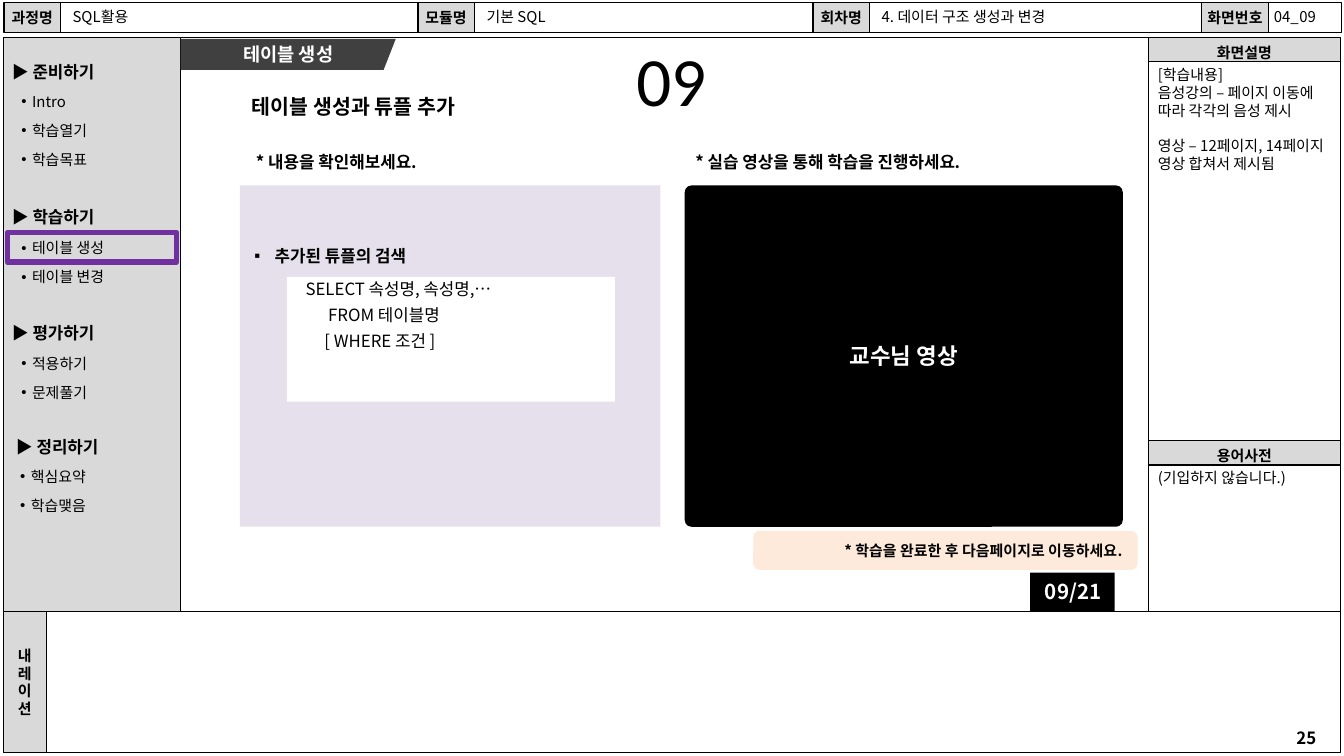
from dataclasses import dataclass
from itertools import pairwise

from lxml.etree import SubElement
from pptx import Presentation
from pptx.dml.color import RGBColor
from pptx.enum.shapes import MSO_SHAPE
from pptx.enum.text import MSO_ANCHOR, PP_ALIGN
from pptx.oxml.ns import qn
from pptx.util import Inches, Pt

CELL = 0.1  # inches per grid column and row


@dataclass(frozen=True)
class Theme:
    font: str = "Noto Sans CJK KR"
    number_font: str = "Calibri"
    bullet_font: str = "Arial"
    black: str = "000000"
    white: str = "FFFFFF"
    label: str = "D9D9D9"
    tab: str = "404040"
    marker: str = "7030A0"
    lilac: str = "E6E0EC"
    peach: str = "FDEADA"
    small: int = 8
    body: int = 9
    tab_size: int = 10
    heading: int = 11
    video: int = 12
    number: int = 37
    leading: float = 1.19


THEME = Theme()


@dataclass(frozen=True)
class Box:
    """Area on the page, in grid columns and rows."""
    col: float
    row: float
    cols: float
    rows: float

    def inside(self, col, row, cols, rows):
        return Box(self.col + col, self.row + row, cols, rows)

    def emu(self):
        return [Inches(n * CELL) for n in (self.col, self.row, self.cols, self.rows)]


def style(shape, fill=None, line=None, width=0.75):
    shape.shadow.inherit = False
    if fill:
        shape.fill.solid()
        shape.fill.fore_color.rgb = RGBColor.from_string(fill)
    else:
        shape.fill.background()
    if line:
        shape.line.color.rgb = RGBColor.from_string(line)
        shape.line.width = Pt(width)
    else:
        shape.line.fill.background()
    return shape


def block(page, box, fill=None, line=None, width=0.75, kind=MSO_SHAPE.RECTANGLE):
    return style(page.shapes.add_shape(kind, *box.emu()), fill, line, width)


def framed(page, box, fill=THEME.white):
    return block(page, box, fill, THEME.black)


def write(shape, lines, size=THEME.small, bold=False, color=THEME.black,
          align=PP_ALIGN.LEFT, anchor=MSO_ANCHOR.TOP, inset=(0.1, 0.05), wrap=True,
          bullet=None, indent=0.08, gaps=None, after=0, leading=THEME.leading,
          font=THEME.font):
    """Fill a shape with paragraphs; gaps maps a paragraph index to space before."""
    frame = shape.text_frame
    frame.word_wrap = wrap
    frame.vertical_anchor = anchor
    frame.margin_left = frame.margin_right = Inches(inset[0])
    frame.margin_top = frame.margin_bottom = Inches(inset[1])
    for index, line in enumerate(lines):
        para = frame.add_paragraph() if index else frame.paragraphs[0]
        if bullet:
            props = para._p.get_or_add_pPr()
            props.set("marL", str(Inches(indent)))
            props.set("indent", str(-Inches(indent)))
            SubElement(props, qn("a:buFont")).set("typeface", THEME.bullet_font)
            SubElement(props, qn("a:buChar")).set("char", bullet)
        para.alignment = align
        para.line_spacing = Pt(round(size * leading, 1))
        para.space_before = Pt((gaps or {}).get(index, 0))
        para.space_after = Pt(after)
        span = para.add_run()
        span.text = line
        span.font.size = Pt(size)
        span.font.bold = bold
        span.font.color.rgb = RGBColor.from_string(color)
        span.font.name = font
        SubElement(span._r.get_or_add_rPr(), qn("a:ea")).set("typeface", font)


def text(page, box, lines, **options):
    write(page.shapes.add_textbox(*box.emu()), lines, **options)


def label(page, box, lines, **options):
    write(framed(page, box, THEME.label), lines, bold=True, align=PP_ALIGN.CENTER,
          anchor=MSO_ANCHOR.MIDDLE, wrap=False, **options)


def header(page, box):
    fields = [("과정명", "SQL활용"), ("모듈명", "기본 SQL"),
              ("회차명", "4. 데이터 구조 생성과 변경"), ("화면번호", None)]
    edges = [0, 4.2, 30.8, 35, 60.2, 64.4, 89.1, 94.1, box.cols]
    cells = [box.inside(left, 0, right - left, box.rows) for left, right in pairwise(edges)]
    for (name, value), name_cell, value_cell in zip(fields, cells[::2], cells[1::2]):
        label(page, name_cell, [name])
        framed(page, value_cell)
        if value:
            text(page, value_cell.inside(0, 0, value_cell.cols, 2), [value],
                 inset=(0.09, 0.04), wrap=False)
    for col, cols, part in [(93.5, 4, "04_"), (95.4, 3.4, "09")]:
        text(page, box.inside(col, -0.1, cols, 2.4), [part], wrap=False)


def sidebar(page, box):
    framed(page, box, THEME.label)
    sections = [
        (1.3, 4.1, "준비하기", ["Intro", "학습열기", "학습목표"]),
        (12.1, 15, "학습하기", ["테이블 생성", "테이블 변경"]),
        (20.7, 23.6, "평가하기", ["적용하기", "문제풀기"]),
        (29.2, 32, "정리하기", ["핵심요약", "학습맺음"]),
    ]
    for heading_row, list_row, heading, items in sections:
        shift = 0.3 if heading == "정리하기" else 0
        text(page, box.inside(shift - 0.35, heading_row, 11.5, 2.5), [f"▶ {heading}"],
             size=THEME.body, bold=True)
        text(page, box.inside(0.35, list_row, 12.9, 1.9 * len(items)), items,
             inset=(0.09 if shift else 0.1, 0), bullet="•", gaps={1: 6, 2: 6})
    block(page, box.inside(0.3, 14.5, 12.6, 2.2), line=THEME.marker, width=3)


def description(page, box):
    framed(page, box)
    panels = [
        (0, "화면설명", 28.4, ["[학습내용]", "음성강의 – 페이지 이동에 따라 각각의 음성 제시",
                           "영상 – 12페이지, 14페이지 영상 합쳐서 제시됨"]),
        (30, "용어사전", 11.1, ["(기입하지 않습니다.)"]),
    ]
    for row, heading, rows, lines in panels:
        label(page, box.inside(0, row, box.cols, 1.8), [heading], leading=1.55)
        text(page, box.inside(-0.2, row + 1.7, 14.7, rows), lines, inset=(0.09, 0.04),
             gaps={2: 9.5})


def narration(page, box):
    framed(page, box)
    label(page, box.inside(0, 0, 3.2, box.rows), list("내레이션"))
    text(page, box.inside(94.6, 8.2, 4.7, 2.5), ["25"], size=THEME.body, bold=True,
         align=PP_ALIGN.CENTER)


def section_tab(page, box):
    left, top, width, height = box.emu()
    right, bottom, slant = left + width, top + height, Inches(0.09)
    builder = page.shapes.build_freeform(left, top)
    builder.add_line_segments([(right, top), (right - slant, bottom), (left, bottom)])
    write(style(builder.convert_to_shape(), THEME.tab), ["테이블 생성"], size=THEME.tab_size,
          bold=True, color=THEME.white, align=PP_ALIGN.CENTER, anchor=MSO_ANCHOR.MIDDLE)


def query_panel(page, box):
    text(page, box.inside(0.2, -3, 32.6, 2.5), ["* 내용을 확인해보세요."],
         size=THEME.body, bold=True)
    block(page, box, THEME.lilac)
    text(page, box.inside(0.1, 4, 30.4, 2.5), ["추가된 튜플의 검색"], size=THEME.body,
         bold=True, bullet="▪", indent=0.15)
    block(page, box.inside(3.5, 6.8, 24.4, 9.3), THEME.white)
    text(page, box.inside(3.9, 6.5, 24.1, 6.4),
         ["SELECT 속성명, 속성명,…", "      FROM 테이블명", "     [ WHERE 조건 ]"],
         size=THEME.body, after=3)


def video_panel(page, box):
    text(page, box.inside(-0.2, -3, 32.6, 2.5), ["* 실습 영상을 통해 학습을 진행하세요."],
         size=THEME.body, bold=True)
    screen = block(page, box, THEME.black, kind=MSO_SHAPE.ROUNDED_RECTANGLE)
    screen.adjustments[0] = 0.02
    write(screen, ["교수님 영상"], size=THEME.video, bold=True, color=THEME.white,
          align=PP_ALIGN.CENTER, anchor=MSO_ANCHOR.MIDDLE)
    hint = block(page, box.inside(5.1, 25.7, 28.6, 2.9), THEME.peach,
                 kind=MSO_SHAPE.ROUNDED_RECTANGLE)
    write(hint, ["* 학습을 완료한 후 다음페이지로 이동하세요."], bold=True,
          align=PP_ALIGN.RIGHT, anchor=MSO_ANCHOR.MIDDLE)
    counter = block(page, box.inside(25.7, 28.8, 6.3, 2.9), THEME.black)
    write(counter, ["09/21"], size=THEME.heading, bold=True, color=THEME.white,
          align=PP_ALIGN.RIGHT, wrap=False)


def lesson(page, box):
    section_tab(page, box.inside(13.2, 0.1, 16, 2.3))
    text(page, box.inside(17.1, 3.5, 25.6, 3.2), ["테이블 생성과 튜플 추가"],
         size=THEME.heading, bold=True, inset=(0.14, 0.07))
    query_panel(page, box.inside(17.6, 11, 31.3, 25.4))
    video_panel(page, box.inside(50.7, 11, 32.6, 25.4))
    text(page, box.inside(4.7, -0.5, 90, 9.4), ["09"], size=THEME.number,
         align=PP_ALIGN.CENTER, leading=1.2, font=THEME.number_font)


def main():
    deck = Presentation()
    deck.slide_width = Inches(10)
    deck.slide_height = deck.slide_width * 9 // 16
    page = deck.slides.add_slide(deck.slide_layouts[6])
    stage = Box(0.25, 2.8, 85.2, 42.7)
    framed(page, stage)
    sidebar(page, stage.inside(0, 0, 13.2, 43.5))
    description(page, stage.inside(85.2, 0, 14.3, 43.4))
    narration(page, stage.inside(0, 42.7, 99.5, 10.5))
    header(page, Box(0.3, 0.2, 99.5, 2.2))
    lesson(page, stage)
    deck.save("out.pptx")


if __name__ == "__main__":
    main()
